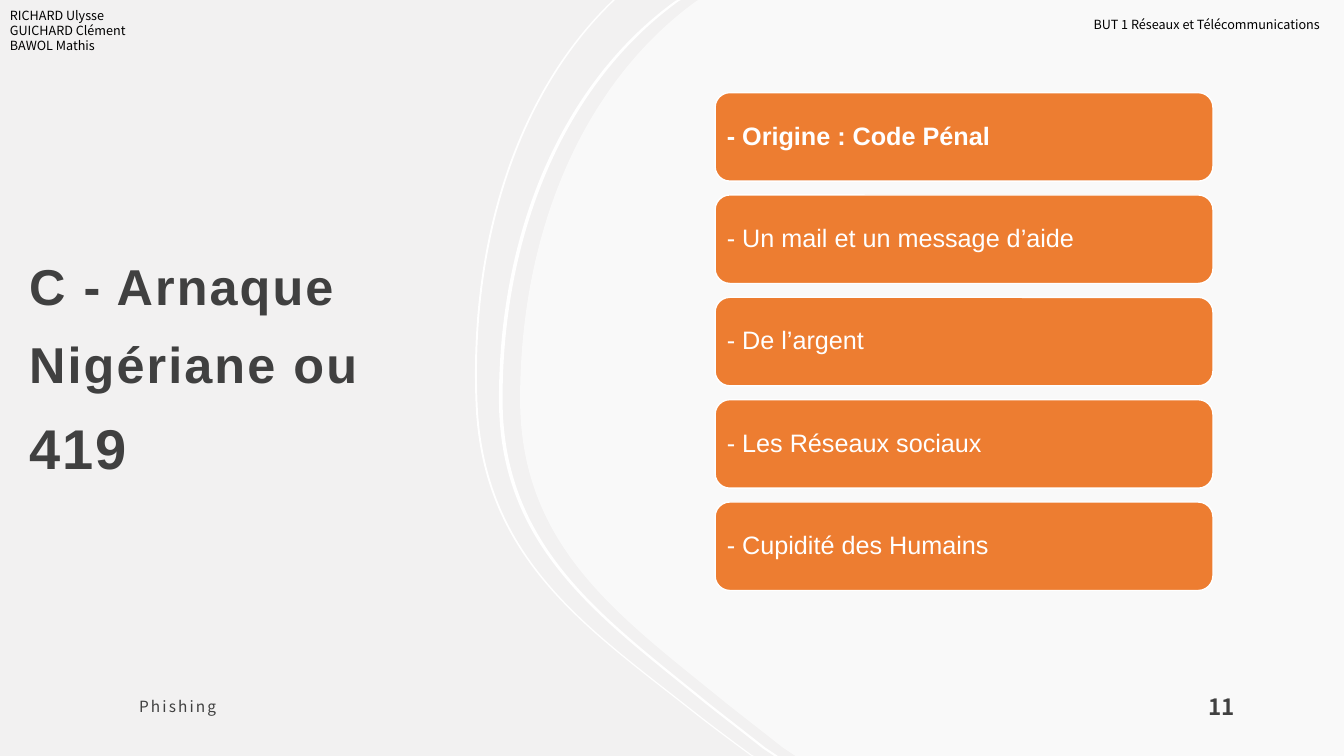
from lxml import etree
from pptx import Presentation
from pptx import util as u
from pptx.dml.color import RGBColor
from pptx.enum import shapes, text
from pptx.oxml.ns import qn

GREY = RGBColor(0xF2, 0xF1, 0xF1)
WHITE = RGBColor(0xFF, 0xFF, 0xFF)
ORANGE = RGBColor(0xED, 0x7D, 0x31)
DARK = RGBColor(0x40, 0x40, 0x40)
BLACK = RGBColor(0, 0, 0)
WIDTH, HEIGHT = 960, 540
SANS, CJK = "Arial", "Noto Sans CJK JP"
DEFAULT_INSETS = (7.2, 3.6, 7.2, 3.6)
WIDE_INSETS = (8.64, 8.64, 8.64, 7.2)
CARD_INSETS = (5.3, 2, 5.3, 2)
MIDDLE, BOTTOM, TOP = (text.MSO_ANCHOR.MIDDLE, text.MSO_ANCHOR.BOTTOM,
                       text.MSO_ANCHOR.TOP)

# An edge is a list of segments: one point for a line, three for a Bezier curve
PANEL_EDGE = [
    [(499, 0)], [(497.5, 0.7)],
    [(416.9, 59), (371.5, 164.9), (371.5, 285.1)],
    [(371.5, 391.7), (444.2, 441.4), (519.1, 502.6)],
    [(532.8, 513.4), (545.8, 523.4), (559.4, 534.2)],
    [(568.1, HEIGHT)]]
THIN_EDGE = [
    [(437.8, 0)], [(435.6, 2.2)],
    [(368.6, 67.7), (334.8, 172.8), (339.8, 289.4)],
    [(344.9, 399.6), (419, 448.6), (494.6, 508.3)],
    [(508.3, 519.1), (522, 529.2), (535.7, 539.3)],
    [(537.1, HEIGHT)]]


def shifted(edge, dx):
    return [[(x + dx, y) for x, y in segment] for segment in edge]


def backwards(edge):
    """The same edge, run from its end to its start."""
    back = [[edge[-1][-1]]]
    for before, segment in reversed(list(zip(edge, edge[1:]))):
        back.append(segment[-2::-1] + [before[-1]] if len(segment) > 1
                    else [before[-1]])
    return back


class Deck:
    """Holds the style and the current slide; lengths are in points."""

    def __init__(self):
        self.prs = Presentation()
        self.prs.slide_width, self.prs.slide_height = u.Pt(WIDTH), u.Pt(HEIGHT)
        self.slide = self.prs.slides.add_slide(self.prs.slide_layouts[5])
        self.slide.background.fill.solid()
        self.slide.background.fill.fore_color.rgb = GREY

    def frame(self, shape, insets, anchor):
        tf = shape.text_frame
        tf.word_wrap = True
        tf.auto_size = text.MSO_AUTO_SIZE.NONE
        tf.vertical_anchor = anchor
        (tf.margin_left, tf.margin_top,
         tf.margin_right, tf.margin_bottom) = map(u.Pt, insets)
        return tf

    def run(self, paragraph, words, size, font, color, bold=False, spacing=0):
        paragraph.alignment = text.PP_ALIGN.LEFT
        run = paragraph.add_run()
        run.text = words
        run.font.size, run.font.name = u.Pt(size), font
        run.font.bold, run.font.color.rgb = bold, color
        if spacing:
            run.font._element.set("spc", str(int(spacing * 100)))

    def title(self, box, runs):
        title = self.slide.shapes.title
        title.left, title.top, title.width, title.height = map(u.Pt, box)
        paragraph = self.frame(title, WIDE_INSETS, MIDDLE).paragraphs[0]
        paragraph.line_spacing = 1.3
        for words, size in runs:
            self.run(paragraph, words, size, SANS, DARK, True, 1.5)

    def label(self, box, lines, size, color, insets=DEFAULT_INSETS, anchor=TOP,
              bold=False, spacing=0):
        label = self.slide.shapes.add_textbox(*map(u.Pt, box))
        tf = self.frame(label, insets, anchor)
        for i, words in enumerate(lines):
            paragraph = tf.add_paragraph() if i else tf.paragraphs[0]
            self.run(paragraph, words, size, CJK, color, bold, spacing)

    def card(self, box, words, bold):
        card = self.slide.shapes.add_shape(
            shapes.MSO_SHAPE.ROUNDED_RECTANGLE, *map(u.Pt, box))
        card.shadow.inherit = False
        card.fill.solid()
        card.fill.fore_color.rgb = ORANGE
        card.line.color.rgb = WHITE
        card.line.width = u.Pt(1)
        paragraph = self.frame(card, CARD_INSETS, MIDDLE).paragraphs[0]
        paragraph.line_spacing = 0.9
        self.run(paragraph, words, 18, SANS, WHITE, bold)

    def outline(self, edge, opacity=100):
        start, *ends = [tuple(map(u.Pt, segment[-1])) for segment in edge]
        builder = self.slide.shapes.build_freeform(*start)
        builder.add_line_segments(ends, close=True)
        area = builder.convert_to_shape()
        area.shadow.inherit = False
        area.fill.solid()
        area.fill.fore_color.rgb = WHITE
        area.line.fill.background()
        properties = area._element.spPr
        # Bend the three-point segments
        for line, segment in zip(list(properties.iter(qn("a:lnTo"))), edge[1:]):
            if len(segment) == 3:
                line.addprevious(self.bezier(segment, area.left, area.top))
                line.getparent().remove(line)
        if opacity < 100:
            color = next(properties.iter(qn("a:srgbClr")))
            etree.SubElement(color, qn("a:alpha")).set("val", str(opacity * 1000))

    def bezier(self, segment, left, top):
        bend = etree.Element(qn("a:cubicBezTo"))
        for x, y in segment:
            etree.SubElement(bend, qn("a:pt"), x=str(int(u.Pt(x) - left)),
                             y=str(int(u.Pt(y) - top)))
        return bend

    def ring(self, edge, thickness):
        self.outline(edge + backwards(shifted(edge, thickness)))


def main():
    deck = Deck()

    # Title
    deck.title((12.2, 87.1, 326.9, 337),
               [("C - Arnaque Nigériane ou ", 36), ("419", 40)])

    # Curved panel and its two rings
    deck.outline(PANEL_EDGE + [[(WIDTH, HEIGHT)], [(WIDTH, 0)]], opacity=60)
    deck.ring(THIN_EDGE, 1.4)
    deck.ring(shifted(PANEL_EDGE, -15.1), 2.6)

    # Footer and slide number
    deck.label((90.7, 486, 362, 36), ["Phishing"], 11, DARK,
               WIDE_INSETS, MIDDLE, spacing=1.5)
    deck.label((854.6, 485.5, 93.6, 36), ["11"], 16, DARK,
               WIDE_INSETS, BOTTOM, bold=True)

    # Key points
    key_points = ["- Origine : Code Pénal", "- Un mail et un message d’aide",
                  "- De l’argent", "- Les Réseaux sociaux",
                  "- Cupidité des Humains"]
    for row, words in enumerate(key_points):
        deck.card((510.8, 66.2 + row * 73.1, 355.6, 63.2), words, bold=row == 0)

    # Authors and course
    deck.label((0, 2.2, 416.9, 40.3),
               ["RICHARD Ulysse", "GUICHARD Clément", "BAWOL Mathis"], 9, BLACK)
    deck.label((774, 8.6, 184, 18), ["BUT 1 Réseaux et Télécommunications"], 9, BLACK)

    deck.prs.save("out.pptx")


if __name__ == "__main__":
    main()
